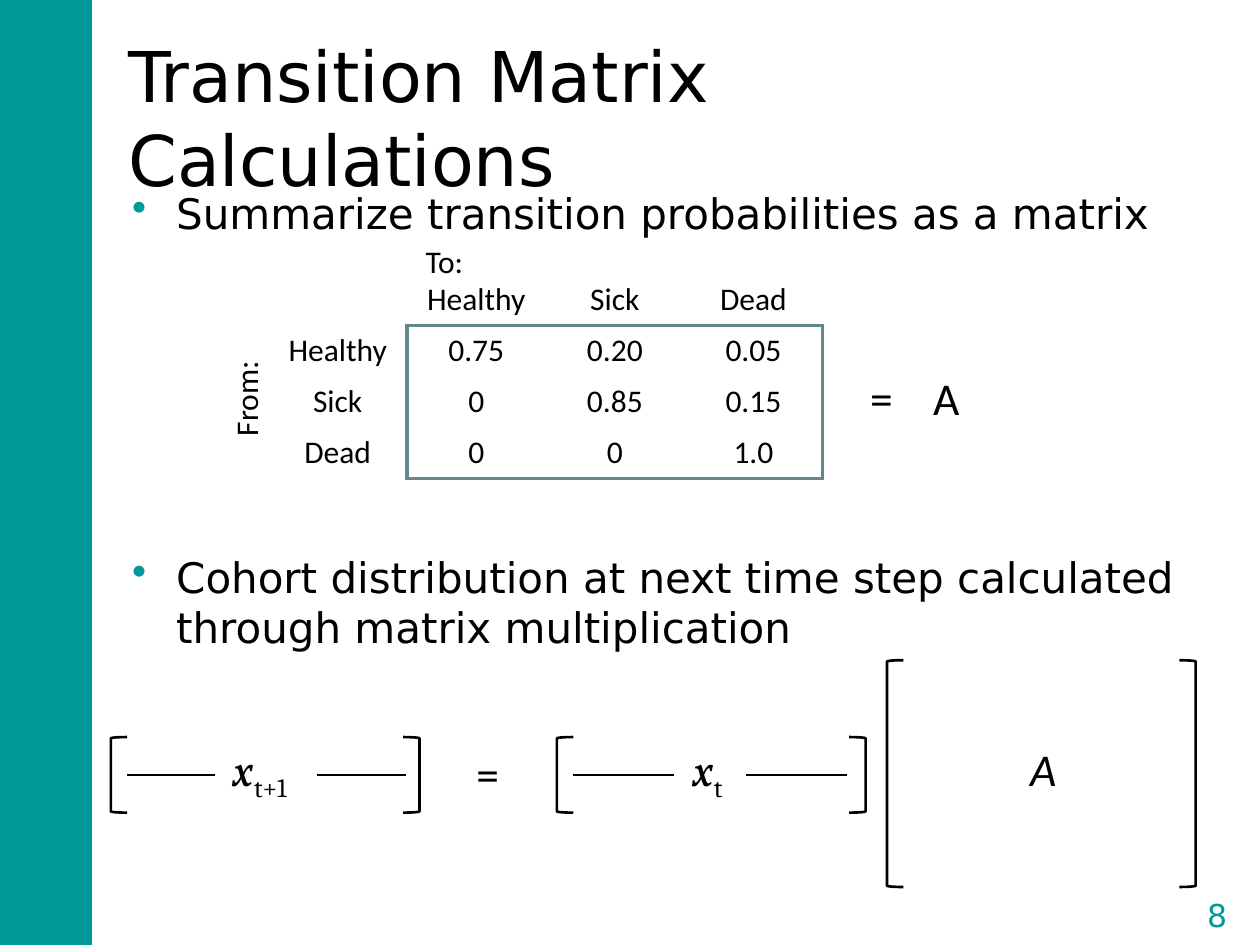
import pptx
import pptx.dml.color
import pptx.enum.shapes
import pptx.enum.text
import pptx.oxml
import pptx.oxml.ns
import pptx.util

Inches = pptx.util.Inches
Pt = pptx.util.Pt
rgb = pptx.dml.color.RGBColor.from_string
qn = pptx.oxml.ns.qn
NS = pptx.oxml.ns.nsdecls("a")
SHAPE = pptx.enum.shapes.MSO_SHAPE
ANCHOR = pptx.enum.text.MSO_ANCHOR
LEFT = pptx.enum.text.PP_ALIGN.LEFT
CENTER = pptx.enum.text.PP_ALIGN.CENTER
TEAL, BLACK, WHITE, FRAME = "009999", "000000", "FFFFFF", "61888A"


def add_run(p, text, size, font, color=BLACK, italic=False):
    r = p.add_run()
    r.text = text
    r.font.size = Pt(size)
    r.font.name = font
    r.font.bold = False
    r.font.italic = italic
    r.font.color.rgb = rgb(color)
    return r


def add_box(x, y, w, h, wrap=False, align=LEFT):
    sp = s.shapes.add_textbox(Inches(x), Inches(y), Inches(w), Inches(h))
    sp.text_frame.word_wrap = wrap
    sp.text_frame.paragraphs[0].alignment = align
    return sp


prs = pptx.Presentation()
prs.slide_width, prs.slide_height = Inches(10), Inches(7.5)
s = prs.slides.add_slide(prs.slide_layouts[6])

bar = s.shapes.add_shape(SHAPE.RECTANGLE, Inches(-0.02), 0, Inches(0.75), Inches(7.5))
bar.shadow.inherit = False
bar.fill.solid()
bar.fill.fore_color.rgb = rgb(TEAL)
bar.line.fill.background()

title = add_box(0.92, 0.3, 8.33, 1.25, wrap=True)
title.text_frame.vertical_anchor = ANCHOR.MIDDLE
add_run(title.text_frame.paragraphs[0], "Transition Matrix Calculations", 40, "DejaVu Sans")

tf = add_box(0.92, 1.44, 8.81, 5.54, wrap=True).text_frame
bullets = [
    ("Summarize transition probabilities as a matrix", 0),
    ("Cohort distribution at next time step calculated through matrix multiplication", 179),
]
for i, (text, space) in enumerate(bullets):
    p = tf.add_paragraph() if i else tf.paragraphs[0]
    p.space_before = Pt(space)
    add_run(p, text, 24, "DejaVu Sans")
    pPr = p._p.get_or_add_pPr()
    pPr.set("marL", str(Inches(0.38)))
    pPr.set("indent", str(Inches(-0.35)))
    pPr.append(pptx.oxml.parse_xml(f'<a:buClr {NS}><a:srgbClr val="{TEAL}"/></a:buClr>'))
    pPr.append(pptx.oxml.parse_xml(f'<a:buChar {NS} char="•"/>'))

number = add_box(9.36, 7.06, 0.6, 0.43, align=CENTER)
add_run(number.text_frame.paragraphs[0], "8", 18, "DejaVu Sans", TEAL)

rows = [
    ["", "Healthy", "Sick", "Dead"],
    ["Healthy", "0.75", "0.20", "0.05"],
    ["Sick", "0", "0.85", "0.15"],
    ["Dead", "0", "0", "1.0"],
]
table = s.shapes.add_table(4, 4, Inches(2.13), Inches(2.18), Inches(4.4), Inches(1.62)).table
table.first_row = table.horz_banding = False
for i, row in enumerate(rows):
    table.rows[i].height = Inches(1.62 / 4)
    for j, text in enumerate(row):
        cell = table.cell(i, j)
        cell.vertical_anchor = ANCHOR.MIDDLE
        cell.fill.solid()
        cell.fill.fore_color.rgb = rgb(WHITE)
        p = cell.text_frame.paragraphs[0]
        p.alignment = CENTER
        if text:
            add_run(p, text, 18, "Calibri")
        framed = {
            "lnL": i > 0 and j == 1,
            "lnR": i > 0 and j in (0, 3),
            "lnT": j > 0 and i == 1,
            "lnB": j > 0 and i in (0, 3),
        }
        tcPr = cell._tc.get_or_add_tcPr()
        for k, (edge, shown) in enumerate(framed.items()):
            paint = f'<a:solidFill><a:srgbClr val="{FRAME}"/></a:solidFill>' if shown else "<a:noFill/>"
            tcPr.insert(k, pptx.oxml.parse_xml(f'<a:{edge} {NS} w="{Pt(2.25)}">{paint}</a:{edge}>'))

labels = [
    ("From:", 1.55, 2.96, 0.8, 0.4, 18, LEFT, 270),
    ("To:", 3.28, 1.87, 0.5, 0.4, 18, LEFT, 0),
    ("= \tA", 6.55, 2.89, 1.42, 0.54, 26, CENTER, 0),
    ("=", 3.51, 5.87, 0.72, 0.54, 26, CENTER, 0),
]
for text, x, y, w, h, size, align, angle in labels:
    sp = add_box(x, y, w, h, align=align)
    sp.rotation = angle
    add_run(sp.text_frame.paragraphs[0], text, size, "Calibri")

for x, y, h in [(0.88, 5.85, 0.6), (4.42, 5.85, 0.6), (7.04, 5.24, 1.8)]:
    for kind, dx in [(SHAPE.LEFT_BRACKET, 0), (SHAPE.RIGHT_BRACKET, 2.32)]:
        sp = s.shapes.add_shape(kind, Inches(x + dx), Inches(y), Inches(0.13), Inches(h))
        sp.shadow.inherit = False
        sp.adjustments[0] = 0.08
        sp.fill.background()
        sp.line.color.rgb = rgb(BLACK)
        sp.line.width = Pt(1.5)

vectors = [("t+1", 1.75, 0.78, 0.7, (1.01, 2.52)), ("t", 5.4, 0.46, 0.8, (4.55, 5.92))]
for subscript, x, w, length, starts in vectors:
    p = add_box(x, 5.83, w, 0.54).text_frame.paragraphs[0]
    add_run(p, "x", 26, "Vollkorn", italic=True)
    r = add_run(p, subscript, 26, "Cambria")
    r.font._element.set("baseline", "-25000")
    for start in starts:
        line = s.shapes.add_connector(
            pptx.enum.shapes.MSO_CONNECTOR.STRAIGHT,
            Inches(start), Inches(6.15), Inches(start + length), Inches(6.15))
        line.line.color.rgb = rgb(BLACK)
        line.line.width = Pt(1.5)
        line._element.spPr.append(pptx.oxml.parse_xml(f"<a:effectLst {NS}/>"))

sp = s.shapes.add_shape(SHAPE.RECTANGLE, Inches(7.78), Inches(5.6), Inches(1), Inches(1))
sp.shadow.inherit = False
sp.fill.solid()
sp.fill.fore_color.rgb = rgb(WHITE)
sp.line.color.rgb = rgb(WHITE)
sp.line.width = Pt(2)
sp.text_frame.vertical_anchor = ANCHOR.MIDDLE
p = sp.text_frame.paragraphs[0]
p.alignment = CENTER
add_run(p, "A", 26, "Calibri", italic=True)

prs.save("out.pptx")
